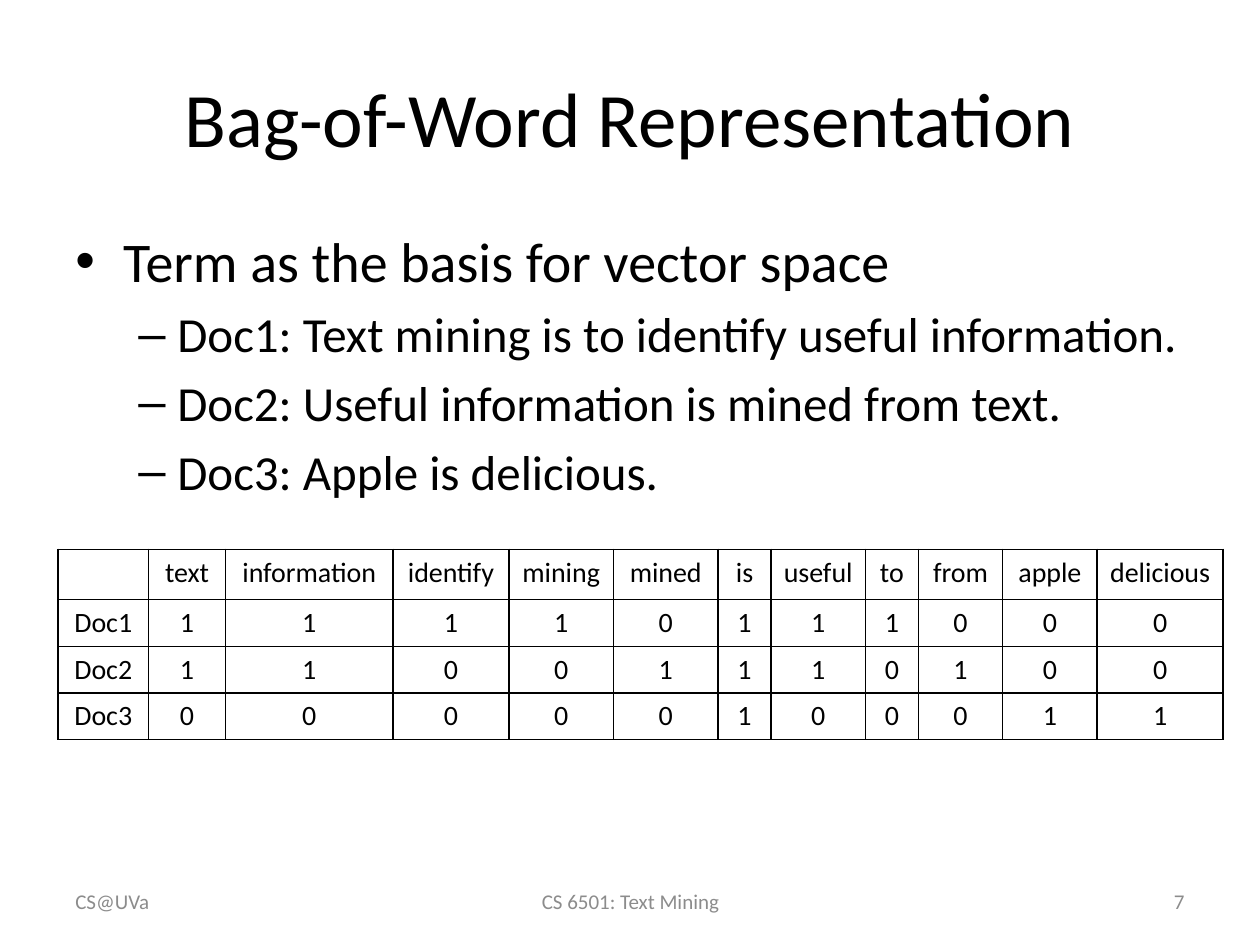
from lxml import etree
from pptx import Presentation
from pptx.dml.color import RGBColor
from pptx.enum.text import MSO_ANCHOR, PP_ALIGN
from pptx.oxml.ns import qn
from pptx.util import Inches, Pt

LEFT, CENTER, RIGHT = PP_ALIGN.LEFT, PP_ALIGN.CENTER, PP_ALIGN.RIGHT
TOP, MIDDLE = MSO_ANCHOR.TOP, MSO_ANCHOR.MIDDLE
TITLE_ONLY = 5
FONT = "Calibri"
COLORS = {"text": "000000", "border": "000000", "footer": "8C8C8C"}
MARGIN, CONTENT_WIDTH = 0.5, 9

DOCUMENTS = {
    "Doc1": "Text mining is to identify useful information.",
    "Doc2": "Useful information is mined from text.",
    "Doc3": "Apple is delicious.",
}
TERM_WIDTHS = {
    "text": 0.61, "information": 1.33, "identify": 0.92, "mining": 0.83,
    "mined": 0.83, "is": 0.42, "useful": 0.75, "to": 0.42, "from": 0.67,
    "apple": 0.75, "delicious": 1,
}
LABEL_WIDTH = 0.72
ROW_HEIGHTS = [0.4] + [0.37] * len(DOCUMENTS)

# Level: (bullet, text size, left indent, hanging indent)
LEVELS = [("•", 32, 0.38, 0.38), ("–", 28, 0.81, 0.31)]


def write(paragraph, text, size, color="text", align=LEFT):
    paragraph.text = text
    paragraph.alignment = align
    paragraph.font.name = FONT
    paragraph.font.size = Pt(size)
    paragraph.font.color.rgb = RGBColor.from_string(COLORS[color])


def place(shape, left, top, width, height):
    shape.left, shape.top = Inches(left), Inches(top)
    shape.width, shape.height = Inches(width), Inches(height)


def add_text_frame(slide, box, anchor=TOP):
    shape = slide.shapes.add_textbox(*map(Inches, box))
    shape.text_frame.word_wrap = True
    shape.text_frame.vertical_anchor = anchor
    return shape.text_frame


def add_title(slide, text):
    title = slide.shapes.title
    place(title, MARGIN, 0.3, CONTENT_WIDTH, 1.25)
    title.text_frame.vertical_anchor = MIDDLE
    write(title.text_frame.paragraphs[0], text, 44, align=CENTER)


def add_bullets(slide, items):
    """Add (level, text) items as a bulleted list."""
    frame = add_text_frame(slide, (MARGIN, 1.75, CONTENT_WIDTH, 4.95))
    for index, (level, text) in enumerate(items):
        paragraph = frame.add_paragraph() if index else frame.paragraphs[0]
        bullet, size, indent, hanging = LEVELS[level]
        paragraph.level = level
        if index:
            paragraph.space_before = Pt(size * 0.2)
        properties = paragraph._p.get_or_add_pPr()
        properties.set("marL", str(Inches(indent)))
        properties.set("indent", str(-Inches(hanging)))
        etree.SubElement(properties, qn("a:buFont"), typeface="Arial")
        etree.SubElement(properties, qn("a:buChar"), char=bullet)
        write(paragraph, text, size)


def set_borders(cell):
    properties = cell._tc.get_or_add_tcPr()
    for position, side in enumerate(("a:lnL", "a:lnR", "a:lnT", "a:lnB")):
        line = etree.Element(qn(side), w=str(Pt(1)))
        fill = etree.SubElement(line, qn("a:solidFill"))
        etree.SubElement(fill, qn("a:srgbClr"), val=COLORS["border"])
        properties.insert(position, line)


def term_rows():
    """Return the header and, for each document, which terms occur in it."""
    rows = [["", *TERM_WIDTHS]]
    for name, sentence in DOCUMENTS.items():
        words = sentence.lower().rstrip(".").split()
        rows.append([name, *(str(words.count(term)) for term in TERM_WIDTHS)])
    return rows


def add_term_table(slide):
    rows = term_rows()
    widths = [LABEL_WIDTH, *TERM_WIDTHS.values()]
    box = (0.46, 4.36, sum(widths), sum(ROW_HEIGHTS))
    table = slide.shapes.add_table(len(rows), len(widths), *map(Inches, box)).table
    table.first_row = table.horz_banding = False
    for column, width in zip(table.columns, widths):
        column.width = Inches(width)
    for row, height, texts in zip(table.rows, ROW_HEIGHTS, rows):
        row.height = Inches(height)
        for cell, text in zip(row.cells, texts):
            cell.fill.background()
            cell.margin_left = cell.margin_right = Inches(0.05)
            set_borders(cell)
            write(cell.text_frame.paragraphs[0], text, 16, align=CENTER)


def add_footer(slide, left, width, text, align):
    frame = add_text_frame(slide, (left, 6.95, width, 0.4), MIDDLE)
    write(frame.paragraphs[0], text, 12, "footer", align)


def main():
    presentation = Presentation()
    presentation.slide_width, presentation.slide_height = Inches(10), Inches(7.5)
    slide = presentation.slides.add_slide(presentation.slide_layouts[TITLE_ONLY])
    add_title(slide, "Bag-of-Word Representation")
    sentences = [(1, f"{name}: {text}") for name, text in DOCUMENTS.items()]
    add_bullets(slide, [(0, "Term as the basis for vector space"), *sentences])
    add_term_table(slide)
    add_footer(slide, MARGIN, 2.33, "CS@UVa", LEFT)
    add_footer(slide, 3.42, 3.17, "CS 6501: Text Mining", CENTER)
    add_footer(slide, 7.17, 2.33, "7", RIGHT)
    presentation.save("out.pptx")


if __name__ == "__main__":
    main()
